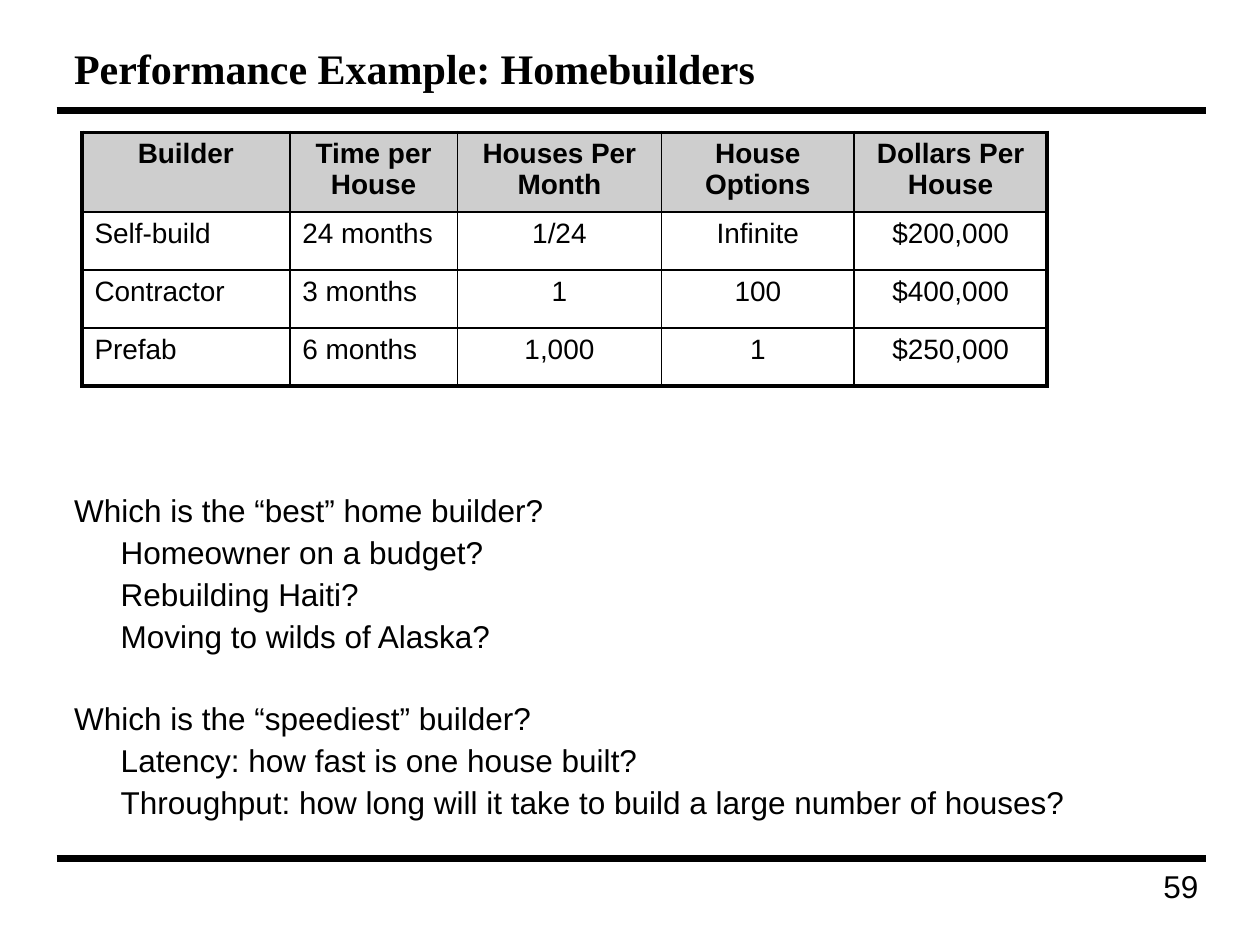
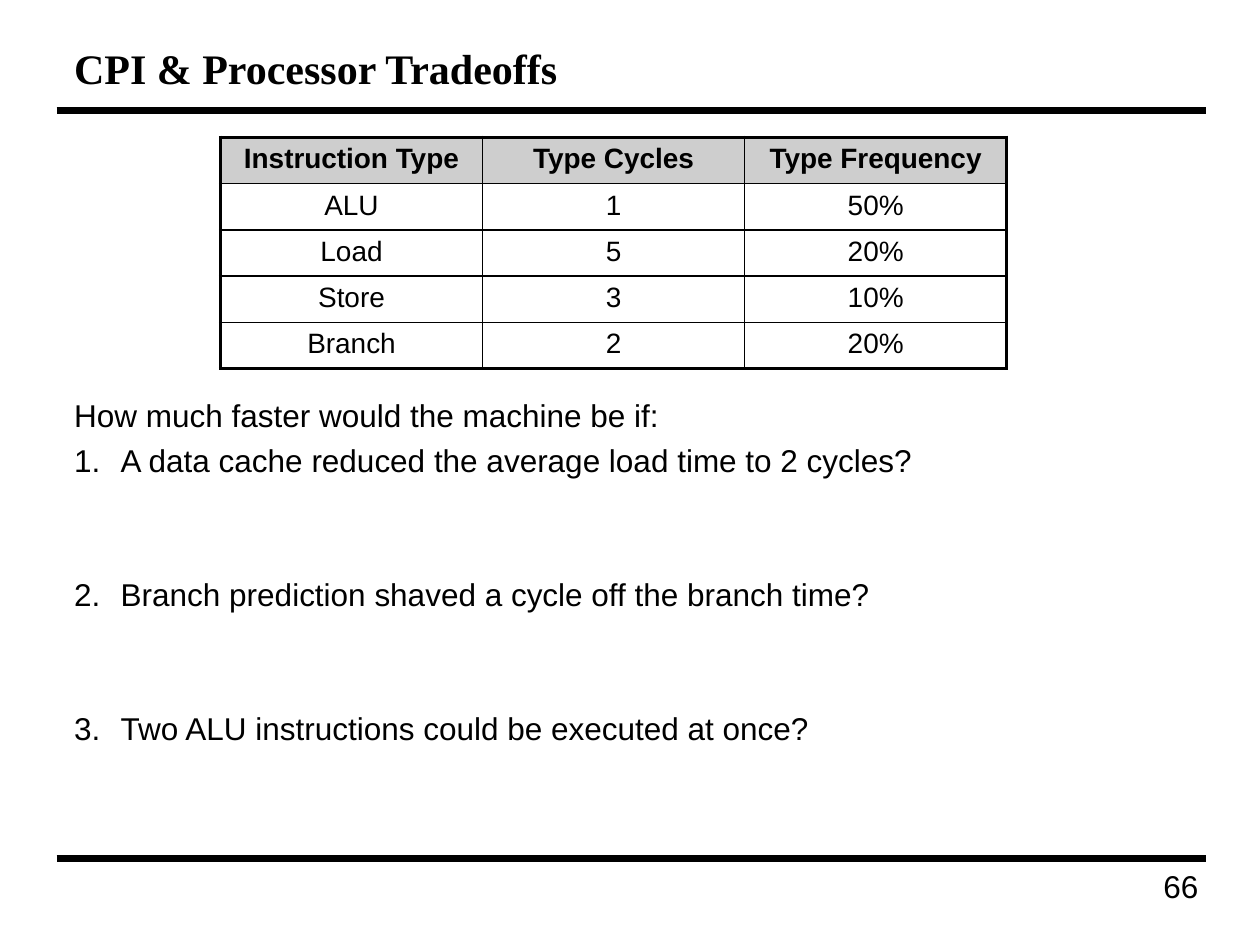
import lxml.etree
import pptx
import pptx.dml.color
import pptx.enum.shapes
import pptx.enum.text
import pptx.oxml.ns
import pptx.util

BLACK = pptx.dml.color.RGBColor(0, 0, 0)
WHITE = pptx.dml.color.RGBColor(255, 255, 255)
GREY = pptx.dml.color.RGBColor(0xCE, 0xCE, 0xCE)

WIDE = pptx.util.Inches(10)
HIGH = pptx.util.Inches(7.5)
UNIT = WIDE / 100

ALIGN = pptx.enum.text.PP_ALIGN
ANCHOR = pptx.enum.text.MSO_ANCHOR

TITLE = {"name": "Times New Roman", "size": pptx.util.Pt(24), "bold": True}
BODY = {"name": "Arial", "size": pptx.util.Pt(18), "bold": False}
CELL = {"name": "Arial", "size": pptx.util.Pt(16), "bold": False}
HEAD = {**CELL, "bold": True}

LEAD = 18 * 1.15
GAP = 4.5
HANG = 3.7
THICK, THIN = 2.25, 1


def grid(*steps):
    return [round(step * UNIT) for step in steps]


def assign(thing, values):
    for key, value in values.items():
        setattr(thing, key, value)


def add_sub(parent, tag, **values):
    return lxml.etree.SubElement(parent, pptx.oxml.ns.qn(tag), values)


def write(para, text, style, align=ALIGN.LEFT):
    para.alignment = align
    run = para.add_run()
    run.text = text
    assign(run.font, style)
    run.font.color.rgb = BLACK


def add_box(slide, place, **values):
    frame = slide.shapes.add_textbox(*grid(*place)).text_frame
    assign(frame, {"word_wrap": True, **values})
    return frame


def add_rule(slide, row):
    line = slide.shapes.add_connector(
        pptx.enum.shapes.MSO_CONNECTOR.STRAIGHT, *grid(4.5, row, 95.7, row))
    line.line.color.rgb = BLACK
    line.line.width = pptx.util.Pt(4)
    add_sub(line._element.spPr, "a:effectLst")


def add_page(deck, title, number):
    slide = deck.slides.add_slide(deck.slide_layouts[6])
    for row in (8.8, 68.1):
        add_rule(slide, row)
    frame = add_box(slide, (75.6, 68.3, 20.5, 4.9))
    write(frame.paragraphs[0], number, BODY, ALIGN.RIGHT)
    frame = add_box(slide, (4.9, 2.5, 90.4, 5.8), vertical_anchor=ANCHOR.MIDDLE)
    write(frame.paragraphs[0], title, TITLE)
    return slide


def indent(para, kind):
    left, = grid(HANG)
    props = para._p.get_or_add_pPr()
    props.set("marL", str(left))
    props.set("indent", str(0 if kind == "sub" else -left))
    if kind == "step":
        add_sub(props, "a:buFont", typeface="+mj-lt")
        add_sub(props, "a:buAutoNum", type="arabicPeriod")
    else:
        add_sub(props, "a:buNone")


def add_body(slide, lines, start, space):
    pitch = LEAD * space + GAP
    frame = add_box(slide, (4.9, 9.9, 90.4, 57.6),
                    margin_top=pptx.util.Pt(3.6 + start * pitch))
    for index, (kind, skip, text) in enumerate(lines):
        para = frame.add_paragraph() if index else frame.paragraphs[0]
        before = GAP + skip * pitch if index else 0
        assign(para, {"line_spacing": space,
                      "space_before": pptx.util.Pt(before)})
        indent(para, kind)
        write(para, text, BODY)


def add_edge(cell, tag, width):
    props = cell._tc.get_or_add_tcPr()
    edge = add_sub(props, tag, w=str(pptx.util.Pt(width)))
    fill = add_sub(edge, "a:solidFill")
    add_sub(fill, "a:srgbClr", val=str(BLACK))


def add_chart(slide, place, widths, heights, rows, aligns):
    left, top = place
    table = slide.shapes.add_table(
        len(rows), len(widths),
        *grid(left, top, sum(widths), sum(heights))).table
    assign(table, {"first_row": False, "horz_banding": False})
    for column, width in zip(table.columns, grid(*widths)):
        column.width = width
    for line, height in zip(table.rows, grid(*heights)):
        line.height = height
    for r, row in enumerate(rows):
        for c, text in enumerate(row):
            cell = table.cell(r, c)
            outer = {"a:lnL": c == 0, "a:lnR": c == len(widths) - 1,
                     "a:lnT": r == 0, "a:lnB": r == len(rows) - 1}
            for tag, edge in outer.items():
                add_edge(cell, tag, THICK if edge else THIN)
            cell.fill.solid()
            cell.fill.fore_color.rgb = WHITE if r else GREY
            write(cell.text_frame.paragraphs[0], text, CELL if r else HEAD,
                  aligns[c] if r else ALIGN.CENTER)


def add_homes(deck):
    slide = add_page(deck, "Performance Example: Homebuilders", "59")
    add_body(slide, [
        ("main", 0, "Which is the “best” home builder?"),
        ("sub", 0, "Homeowner on a budget?"),
        ("sub", 0, "Rebuilding Haiti?"),
        ("sub", 0, "Moving to wilds of Alaska?"),
        ("main", 1, "Which is the “speediest” builder?"),
        ("sub", 0, "Latency: how fast is one house built?"),
        ("sub", 0, "Throughput: how long will it take to build "
                   "a large number of houses?"),
    ], start=9, space=0.9)
    add_chart(slide, (6.5, 10.5), [16.5, 13.3, 16.2, 15.3, 15.3],
              [6.3] + [4.6] * 3, [
        ("Builder", "Time per House", "Houses Per Month",
         "House Options", "Dollars Per House"),
        ("Self-build", "24 months", "1/24", "Infinite", "$200,000"),
        ("Contractor", "3 months", "1", "100", "$400,000"),
        ("Prefab", "6 months", "1,000", "1", "$250,000"),
    ], [ALIGN.LEFT] * 2 + [ALIGN.CENTER] * 3)


def add_trades(deck):
    slide = add_page(deck, "CPI & Processor Tradeoffs", "66")
    add_body(slide, [
        ("main", 0, "How much faster would the machine be if:"),
        ("step", 0, "A data cache reduced the average load time to 2 cycles?"),
        ("step", 2, "Branch prediction shaved a cycle off the branch time?"),
        ("step", 2, "Two ALU instructions could be executed at once?"),
    ], start=6, space=1.0)
    add_chart(slide, (17.5, 10.9), [20.8] * 3, [3.66] * 5, [
        ("Instruction Type", "Type Cycles", "Type Frequency"),
        ("ALU", "1", "50%"),
        ("Load", "5", "20%"),
        ("Store", "3", "10%"),
        ("Branch", "2", "20%"),
    ], [ALIGN.CENTER] * 3)


def main():
    deck = pptx.Presentation()
    assign(deck, {"slide_width": WIDE, "slide_height": HIGH})
    add_homes(deck)
    add_trades(deck)
    deck.save("out.pptx")


if __name__ == "__main__":
    main()
